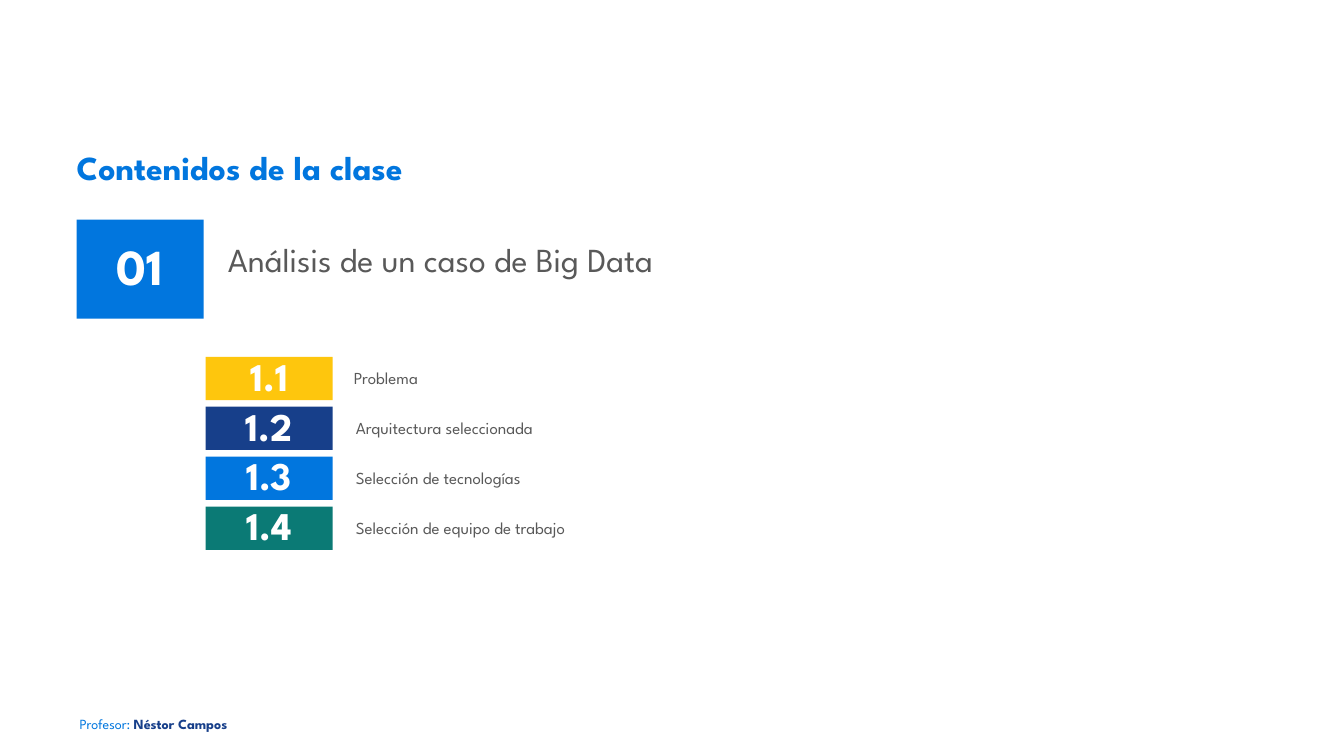
from dataclasses import dataclass

from pptx import Presentation
from pptx.dml.color import RGBColor as RGB
from pptx.enum.shapes import MSO_SHAPE as Shape
from pptx.enum.text import MSO_ANCHOR as Anchor, MSO_AUTO_SIZE as Auto, PP_ALIGN as Align
from pptx.util import Inches, Pt

WIDE, HIGH = Inches(13.33), Inches(7.5)


@dataclass(frozen=True)
class Theme:
    font: str = "League Spartan"
    blue: str = "0176DE"
    navy: str = "173F8A"
    gold: str = "FEC60D"
    teal: str = "0B7A75"
    gray: str = "595959"
    white: str = "FFFFFF"
    head: int = 24
    big: int = 36
    chip: int = 28
    label: int = 12
    foot: int = 10


@dataclass(frozen=True)
class Box:
    """A region on a grid of 100 columns by 100 rows over the slide."""
    x: float
    y: float
    w: float
    h: float

    def inner(self, x, w, y=0, h=None):
        return Box(self.x + x, self.y + y, w, self.h if h is None else h)

    def place(self):
        return [int(n * side / 100) for n, side in
                zip((self.x, self.y, self.w, self.h), (WIDE, HIGH, WIDE, HIGH))]


T = Theme()


def write(shape, *runs, size, lead, align=Align.LEFT, anchor=Anchor.MIDDLE, inset=(0, 0)):
    """Set one paragraph; each run is (text, colour, bold)."""
    frame = shape.text_frame
    frame.word_wrap, frame.auto_size = True, Auto.NONE
    frame.vertical_anchor = anchor
    frame.margin_left = frame.margin_right = Inches(inset[0])
    frame.margin_top = frame.margin_bottom = Inches(inset[1])
    para = frame.paragraphs[0]
    para.alignment, para.line_spacing = align, lead
    para.space_before = Pt(0)
    for text, color, bold in runs:
        run = para.add_run()
        run.text = text
        font = run.font
        font.name, font.size, font.bold = T.font, Pt(size), bold
        font.color.rgb = RGB.from_string(color)


def move(shape, box):
    shape.left, shape.top, shape.width, shape.height = box.place()
    return shape


def paint(shape, color):
    shape.fill.solid()
    shape.fill.fore_color.rgb = RGB.from_string(color)
    return shape


def tile(slide, box, color):
    shape = paint(slide.shapes.add_shape(Shape.RECTANGLE, *box.place()), color)
    shape.line.fill.background()
    shape.shadow.inherit = False
    return shape


def badge(slide, box, text, color, size):
    write(tile(slide, box, color), (text, T.white, True), size=size, lead=0.9,
          align=Align.CENTER, inset=(0.1, 0.05))


def title(slide, box, text):
    write(move(slide.shapes.title, box), (text, T.blue, True), size=T.head,
          lead=Pt(26), anchor=Anchor.TOP)


def topic(slide, box, number, text):
    # Body placeholder beside the large number
    body = paint(move(slide.placeholders[1], box.inner(9.45, box.w - 9.45)), T.white)
    props = body.text_frame.paragraphs[0]._p.get_or_add_pPr()
    props.set("marL", "0")
    props.set("indent", "0")
    props.insert(0, props.makeelement(
        "{http://schemas.openxmlformats.org/drawingml/2006/main}buNone", {}))
    write(body, (text, T.gray, False), size=T.head, lead=Pt(14), inset=(0.24, 0.24))
    badge(slide, box.inner(0, 9.45), number, T.blue, T.big)


def items(slide, box, rows):
    # Evenly spaced rows: label, then numbered chip over its edge
    pitch, high = 6.6, 5.73
    for i, (text, color) in enumerate(rows):
        y = i * pitch
        start = 9.38 if i else 9.23
        label = tile(slide, box.inner(start, box.w - start, y, high), T.white)
        write(label, (text, T.gray, False), size=T.label, lead=Pt(14), inset=(0.24, 0.24))
        badge(slide, box.inner(0, 9.45, y, high), f"1.{i + 1}", color, T.chip)


def footer(slide, box):
    # Teacher's name at the foot of the slide
    write(slide.shapes.add_textbox(*box.place()), ("Profesor: ", T.blue, False),
          ("Néstor Campos", T.navy, True), size=T.foot, lead=Pt(22), anchor=Anchor.TOP)


def main():
    deck = Presentation()
    deck.slide_width, deck.slide_height = WIDE, HIGH
    slide = deck.slides.add_slide(deck.slide_layouts[1])
    title(slide, Box(5.7, 20, 88.6, 9.07), "Contenidos de la clase")
    topic(slide, Box(5.7, 29.07, 88.67, 13.07), "01", "Análisis de un caso de Big Data")
    items(slide, Box(15.3, 47.2, 55.97, 25.53), [
        ("Problema", T.gold),
        ("Arquitectura seleccionada", T.navy),
        ("Selección de tecnologías", T.blue),
        ("Selección de equipo de trabajo", T.teal),
    ])
    footer(slide, Box(5.93, 92.8, 15, 3.47))
    deck.save("out.pptx")


if __name__ == "__main__":
    main()
